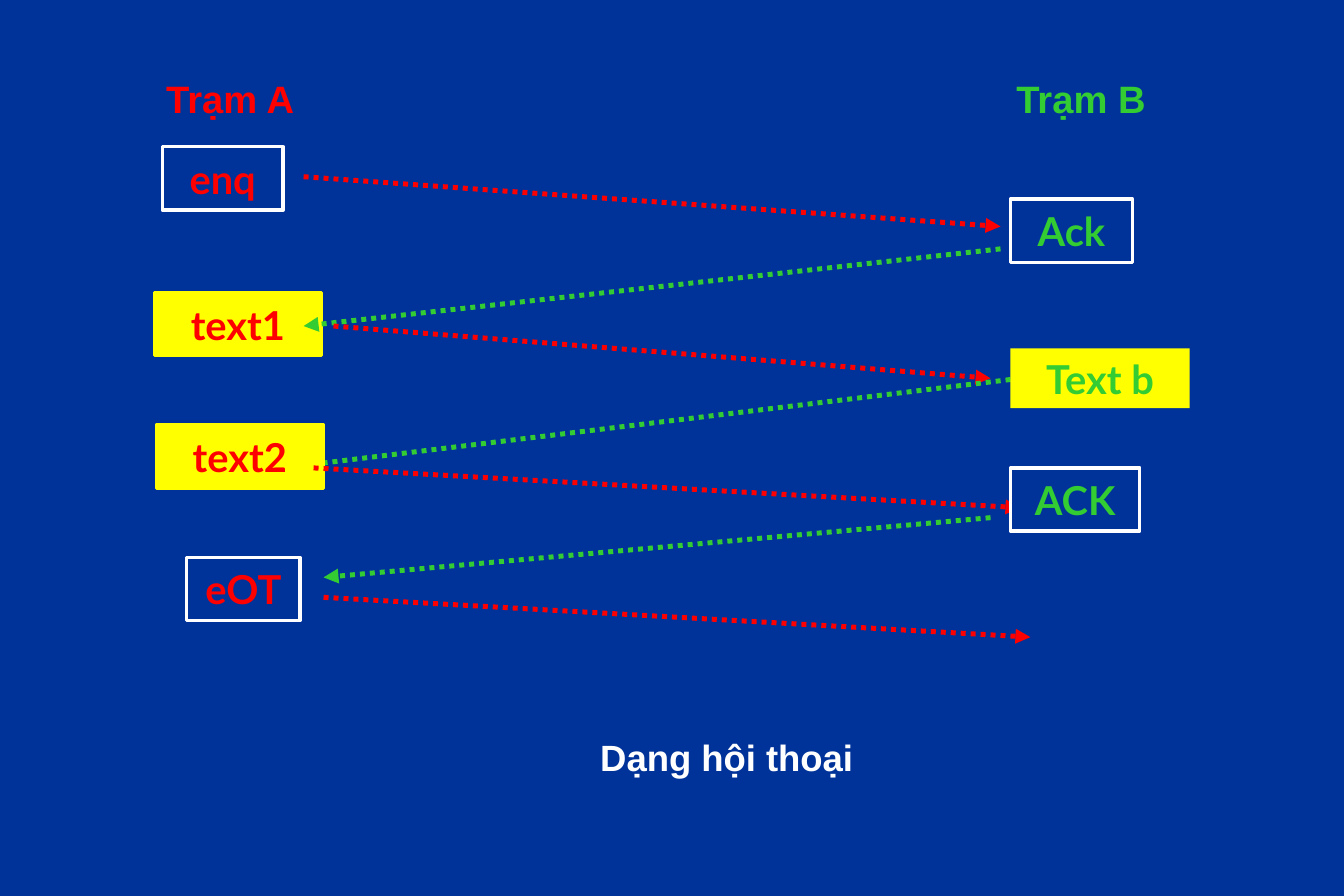
from dataclasses import dataclass

from pptx import Presentation
from pptx.dml.color import RGBColor as Rgb
from pptx.enum.dml import MSO_LINE
from pptx.enum.shapes import MSO_CONNECTOR as Link, MSO_SHAPE as Preset
from pptx.enum.text import MSO_ANCHOR as Anchor, PP_ALIGN as Align
from pptx.oxml.ns import qn
from pptx.util import Inches, Pt
from lxml.etree import SubElement


@dataclass(frozen=True)
class Theme:
    """Colours, fonts and sizes of the dialogue diagram."""
    background: Rgb = Rgb.from_string("003399")
    station_a: Rgb = Rgb.from_string("FF0000")
    station_b: Rgb = Rgb.from_string("33CC33")
    data: Rgb = Rgb.from_string("FFFF00")
    white: Rgb = Rgb.from_string("FFFFFF")
    label_font: str = "Arial"
    frame_font: str = "Lato"
    heading_size: int = 23
    caption_size: int = 22
    frame_size: int = 24
    border: int = 2
    arrow: int = 3


class Diagram:
    """Draws a message exchange on a grid of 270 columns by 180 rows."""

    COLUMNS, ROWS = 270, 180
    FRAME_ROWS = 12.7

    def __init__(self, deck, theme):
        """Adds a blank slide with the theme's background."""
        self.deck, self.theme = deck, theme
        self.slide = deck.slides.add_slide(deck.slide_layouts[6])
        backdrop = self.slide.background.fill
        backdrop.solid()
        backdrop.fore_color.rgb = theme.background

    def place(self, *grid):
        """Turns alternating columns and rows into slide lengths."""
        units = self.deck.slide_width / self.COLUMNS, self.deck.slide_height / self.ROWS
        return [round(length * units[i % 2]) for i, length in enumerate(grid)]

    def letter(self, holder, words, font, size, colour, align):
        """Puts one bold line of words in a shape."""
        frame = holder.text_frame
        frame.vertical_anchor = Anchor.MIDDLE
        line = frame.paragraphs[0]
        line.text, line.alignment = words, align
        line.font.name, line.font.size, line.font.bold = font, Pt(size), True
        line.font.color.rgb = colour
        return frame

    def label(self, words, area, size, colour, align=Align.LEFT):
        """Adds a free-standing text."""
        box = self.slide.shapes.add_textbox(*self.place(*area))
        self.letter(box, words, self.theme.label_font, size, colour, align).word_wrap = True

    def message(self, words, corner, width, colour, fill=None, border=None, height=FRAME_ROWS):
        """Adds a message box."""
        box = self.slide.shapes.add_shape(Preset.RECTANGLE, *self.place(*corner, width, height))
        box.shadow.inherit = False
        if fill is None:
            box.fill.background()
        else:
            box.fill.solid()
            box.fill.fore_color.rgb = fill
        if border is None:
            box.line.fill.background()
        else:
            box.line.color.rgb = border
            box.line.width = Pt(self.theme.border)
        theme = self.theme
        self.letter(box, words, theme.frame_font, theme.frame_size, colour, Align.CENTER).word_wrap = False

    def send(self, start, end, colour):
        """Adds a dotted arrow from sender to receiver."""
        arrow = self.slide.shapes.add_connector(Link.STRAIGHT, *self.place(*start, *end))
        arrow.line.color.rgb = colour
        arrow.line.width = Pt(self.theme.arrow)
        arrow.line.dash_style = MSO_LINE.ROUND_DOT
        outline = arrow.element.spPr
        SubElement(outline.get_or_add_ln(), qn("a:tailEnd"), type="triangle")
        SubElement(outline, qn("a:effectLst"))


def main():
    """Builds and saves the slide."""
    deck = Presentation()
    deck.slide_width, deck.slide_height = Inches(11.25), Inches(7.5)
    theme = Theme()
    red, green, white, yellow = theme.station_a, theme.station_b, theme.white, theme.data
    dialogue = Diagram(deck, theme)
    column_b = 203

    dialogue.label("Trạm A", (31, 14, 40, 11.5), theme.heading_size, red)
    dialogue.label("Trạm B", (201.8, 14, 40, 11.5), theme.heading_size, green)
    dialogue.message("enq", (32.6, 29.5), 24.3, red, border=white)
    dialogue.send((61, 35.5), (201, 45.5), red)
    dialogue.message("Ack", (column_b, 40), 24.5, green, theme.background, white)
    dialogue.message("text1", (31, 58.8), 33.6, red, yellow, yellow)
    dialogue.send((201, 50), (61, 65.5), green)
    dialogue.send((67, 65.5), (199, 76), red)
    dialogue.send((205, 76), (61, 93.5), green)
    dialogue.label("Dạng hội thoại", (103, 146.5, 86, 11.3), theme.caption_size, white, Align.CENTER)
    dialogue.message("Text b", (column_b, 70), 36, green, yellow, height=12)
    dialogue.message("text2", (31.4, 85.4), 33.6, red, yellow, yellow)
    dialogue.send((63, 94), (205, 102), red)
    dialogue.message("ACK", (column_b, 94), 26, green, theme.background, white)
    dialogue.send((199, 104), (65, 116), green)
    dialogue.message("eOT", (37.5, 112), 22.8, red, border=white)
    dialogue.send((65, 120), (207, 128), red)
    deck.save("out.pptx")


if __name__ == "__main__":
    main()
